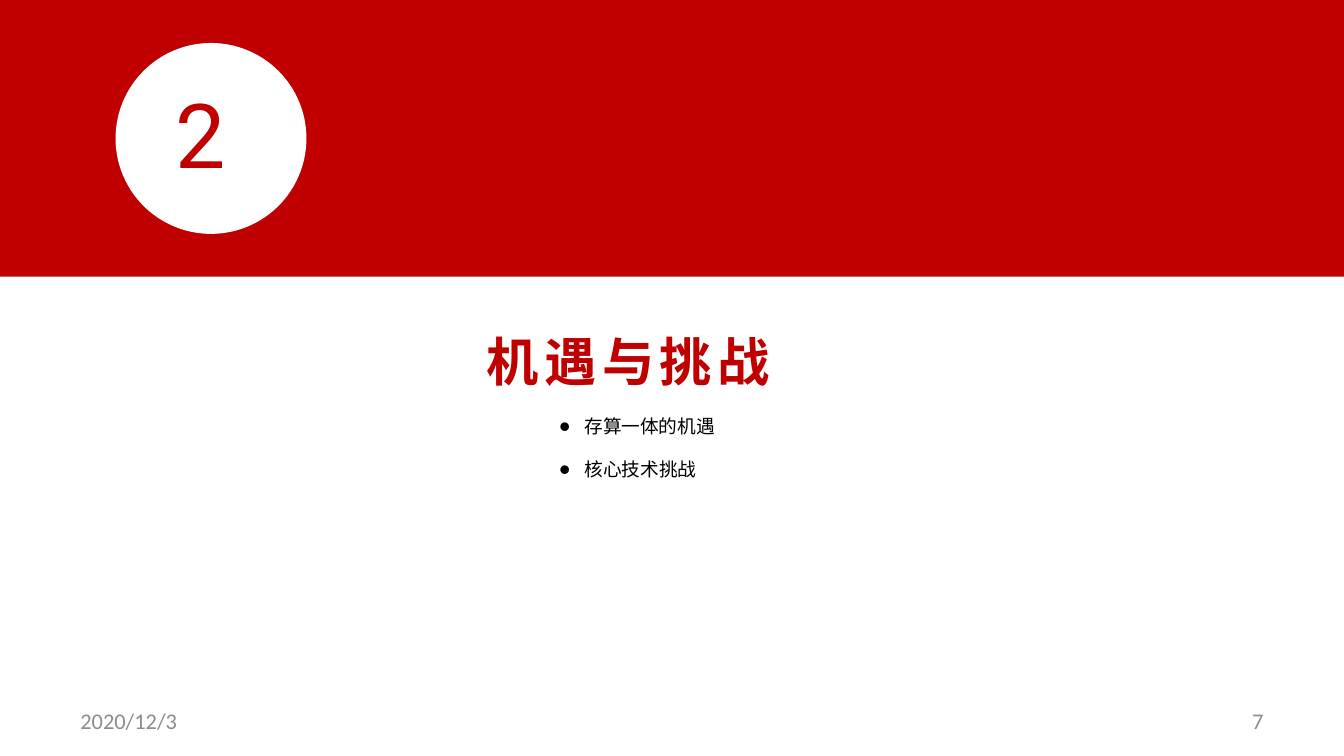
from pptx import Presentation
from pptx.dml.color import RGBColor
from pptx.enum.shapes import MSO_SHAPE as Shape
from pptx.enum.text import MSO_ANCHOR as Anchor, PP_ALIGN as Align
from pptx.oxml.ns import qn
from pptx.util import Inches
from pptx.util import Pt
from lxml.etree import SubElement

# Content
NUMBER = "2"
TITLE = "机遇与挑战"
TOPICS = [("存算一体的机遇", 1.46), ("核心技术挑战", 1.28)]
FOOTERS = [("2020/12/3", 0.5, Align.LEFT), ("7", 7.17, Align.RIGHT)]

THEME = {
    "red": "C00000", "white": "FFFFFF", "black": "000000", "gray": "8C8C8C",
    "chinese": "Noto Sans CJK SC", "digits": "Roboto", "footer": "Calibri",
    "bullet": "Calibri",
    "title_size": 28, "number_size": 48, "topic_size": 10, "footer_size": 12,
}
TOPIC_TOP, TOPIC_STEP, TOPIC_INDENT = 3.09, 0.32, 0.19


def place(shape, left, top, width, height):
    shape.left, shape.top = Inches(left), Inches(top)
    shape.width, shape.height = Inches(width), Inches(height)


def add_filled(slide, preset, box, color):
    shape = slide.shapes.add_shape(preset, *map(Inches, box))
    shape.shadow.inherit = False
    shape.fill.solid()
    shape.fill.fore_color.rgb = RGBColor.from_string(THEME[color])
    shape.line.fill.background()
    return shape


def write(shape, text, *, role, font, color, align=Align.LEFT, anchor=Anchor.TOP,
          bold=False, wrap=True, spacing=None, inset=None, bullet=None):
    frame = shape.text_frame
    frame.word_wrap, frame.vertical_anchor = wrap, anchor
    if inset is not None:
        frame.margin_left = frame.margin_right = Inches(inset)
        frame.margin_top = frame.margin_bottom = Inches(inset)
    paragraph = frame.paragraphs[0]
    paragraph.alignment = align
    run = paragraph.add_run()
    run.text = text
    run.font.size = Pt(THEME[role + "_size"])
    run.font.name, run.font.bold = THEME[font], bold
    run.font.color.rgb = RGBColor.from_string(THEME[color])
    properties = run.font._element
    SubElement(properties, qn("a:ea")).set("typeface", THEME[font])
    if spacing:
        properties.set("spc", str(spacing * 100))
    if bullet:
        layout = paragraph._p.get_or_add_pPr()
        layout.set("marL", str(Inches(TOPIC_INDENT)))
        layout.set("indent", str(-Inches(TOPIC_INDENT)))
        SubElement(layout, qn("a:buFont")).set("typeface", THEME["bullet"])
        SubElement(layout, qn("a:buChar")).set("char", bullet)


# Widescreen slide, 16:9
presentation = Presentation()
presentation.slide_width = Inches(10)
presentation.slide_height = Inches(10 * 9 / 16)
slide = presentation.slides.add_slide(presentation.slide_layouts[5])

# Red band
add_filled(slide, Shape.RECTANGLE, (0, 0, 10, 2.06), "red")

# Title
title = slide.shapes.title
place(title, 3.52, 2.4, 2.38, 0.57)
write(title, TITLE, role="title", font="chinese", color="red",
      bold=True, wrap=False, spacing=3)

# Section number in its circle
add_filled(slide, Shape.OVAL, (0.86, 0.32, 1.42, 1.42), "white")
number = add_filled(slide, Shape.RECTANGLE, (1.21, 0.54, 0.72, 0.91), "white")
write(number, NUMBER, role="number", font="digits", color="red")

# Topics
for index, (topic, width) in enumerate(TOPICS):
    box = slide.shapes.add_textbox(0, 0, 0, 0)
    place(box, 4.16, TOPIC_TOP + index * TOPIC_STEP, width, 0.17)
    write(box, topic, role="topic", font="chinese", color="black",
          inset=0, bullet="●")

# Date and page number
for text, left, align in FOOTERS:
    box = slide.shapes.add_textbox(0, 0, 0, 0)
    place(box, left, 5.21, 2.33, 0.3)
    write(box, text, role="footer", font="footer", color="gray",
          align=align, anchor=Anchor.MIDDLE)

presentation.save("out.pptx")
